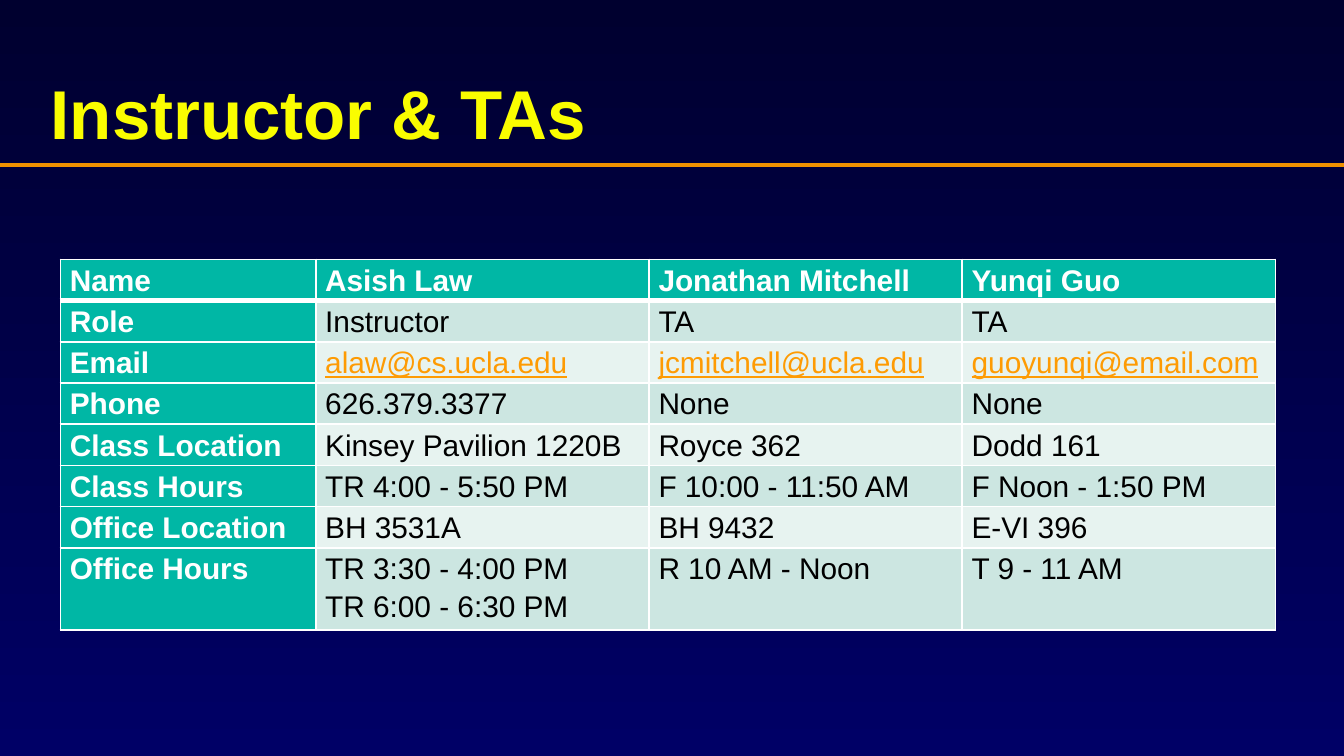
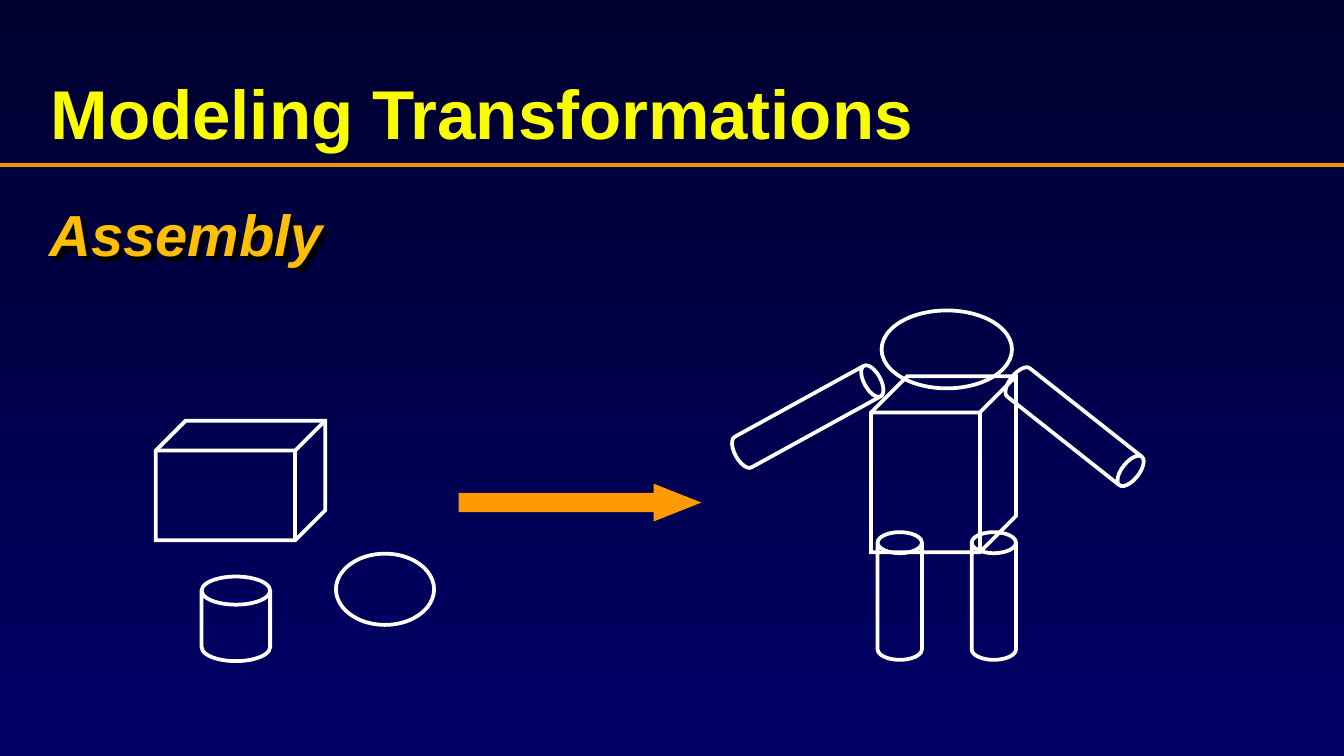
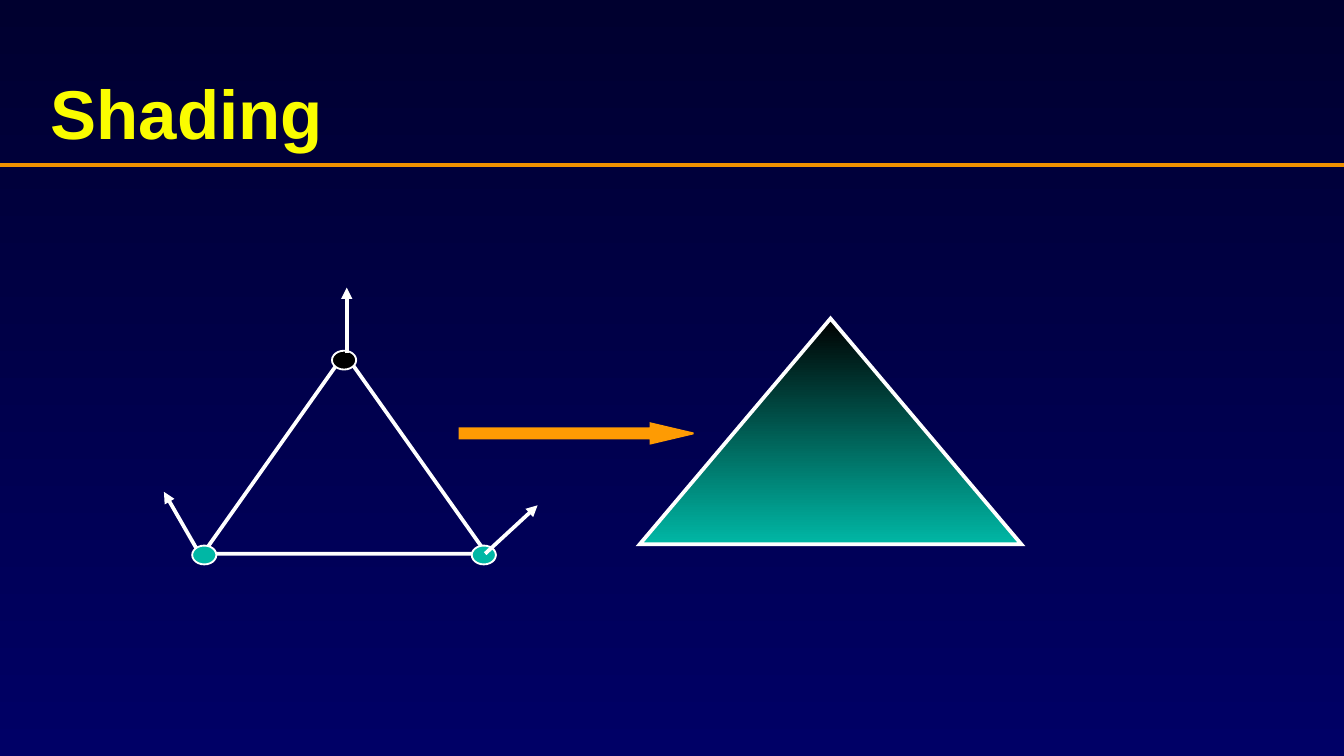
from dataclasses import dataclass
from typing import Optional

from lxml.etree import SubElement
from pptx import Presentation
from pptx.dml.color import RGBColor
from pptx.enum.shapes import MSO_CONNECTOR, MSO_SHAPE
from pptx.enum.text import MSO_ANCHOR
from pptx.oxml.ns import qn
from pptx.util import Inches, Pt


@dataclass(frozen=True)
class Theme:
    font: str = "Arial"
    sky_top: str = "00002F"
    sky_bottom: str = "000066"
    rule: str = "EF9100"
    title: str = "FAFD00"
    heading: str = "FEBF02"
    accent: str = "FE9B03"
    teal: str = "00B7A5"
    light_bands: tuple = ("CCE6E1", "E7F3F0")
    white: str = "FFFFFF"
    black: str = "000000"
    title_size: float = 37
    heading_size: float = 31
    table_size: float = 16
    thin: float = 1
    medium: float = 2
    thick: float = 3


THEME = Theme()


@dataclass(frozen=True)
class Figure:
    kind: MSO_SHAPE
    left: float
    top: float
    width: float
    height: float
    adjustments: tuple = ()
    rotation: float = 0
    fill: Optional[str] = None
    gradient: Optional[tuple] = None
    line: str = THEME.white
    line_width: float = THEME.medium


@dataclass(frozen=True)
class Segment:
    start: tuple
    end: tuple
    color: str = THEME.white
    arrow: bool = True


def can(left, top, width, height, rim=0.474, rotation=0) -> Figure:
    return Figure(MSO_SHAPE.CAN, left, top, width, height, (rim,), rotation)


def cube(left, top, width, height) -> Figure:
    return Figure(MSO_SHAPE.CUBE, left, top, width, height, (0.25,))


def ellipse(left, top, width, height) -> Figure:
    return Figure(MSO_SHAPE.OVAL, left, top, width, height)


def vertex(left, top, fill) -> Figure:
    return Figure(MSO_SHAPE.OVAL, left, top, 0.18, 0.14, fill=fill, line_width=THEME.thin)


def block_arrow(top, width, height, head) -> Figure:
    return Figure(MSO_SHAPE.RIGHT_ARROW, 3.42, top, width, height, (0.5, head),
                  fill=THEME.accent, line=THEME.accent, line_width=THEME.thin)


ASSEMBLY = (
    cube(1.16, 3.13, 1.26, 0.89),
    can(1.5, 4.29, 0.51, 0.63, rim=0.411),
    can(7.23, 3.96, 0.33, 0.95),
    can(6.53, 3.96, 0.33, 0.95),
    can(5.88, 2.49, 0.26, 1.22, rotation=61.2),
    cube(6.48, 2.8, 1.08, 1.31),
    can(7.86, 2.58, 0.27, 1.19, rotation=128.3),
    ellipse(6.56, 2.31, 0.97, 0.58),
    ellipse(2.5, 4.12, 0.73, 0.53),
    block_arrow(3.61, 1.78, 0.26, 1.266),
)

SHADING = (
    Figure(MSO_SHAPE.ISOSCELES_TRIANGLE, 1.51, 2.63, 2.11, 1.49),
    vertex(3.51, 4.06, THEME.teal),
    vertex(2.47, 2.61, THEME.black),
    Segment((2.58, 2.63), (2.58, 2.14)),
    Segment((3.61, 4.12), (4, 3.76)),
    Segment((1.49, 4.13), (1.22, 3.66)),
    Figure(MSO_SHAPE.ISOSCELES_TRIANGLE, 4.76, 2.37, 2.84, 1.68,
           gradient=(THEME.black, THEME.teal)),
    vertex(1.43, 4.06, THEME.teal),
    block_arrow(3.15, 1.74, 0.15, 2.123),
)

STAFF = (
    ("Name", "Asish Law", "Jonathan Mitchell", "Yunqi Guo"),
    ("Role", "Instructor", "TA", "TA"),
    ("Email", "alaw@cs.ucla.edu", "jcmitchell@ucla.edu", "guoyunqi@email.com"),
    ("Phone", "626.379.3377", "None", "None"),
    ("Class Location", "Kinsey Pavilion 1220B", "Royce 362", "Dodd 161"),
    ("Class Hours", "TR 4:00 - 5:50 PM", "F 10:00 - 11:50 AM", "F Noon - 1:50 PM"),
    ("Office Location", "BH 3531A", "BH 9432", "E-VI 396"),
    ("Office Hours", "TR 3:30 - 4:00 PM\nTR 6:00 - 6:30 PM", "R 10 AM - Noon", "T 9 - 11 AM"),
)
STAFF_WIDTHS = (1.9, 2.48, 2.33, 2.33)
STAFF_ROW_HEIGHT = 0.24
EMAIL_ROW = 2


def write_text(frame, text: str, *, size: float, color: str, spacing: float,
               bold=False, italic=False, underline=False) -> None:
    for index, line in enumerate(text.split("\n")):
        paragraph = frame.add_paragraph() if index else frame.paragraphs[0]
        paragraph.line_spacing = spacing
        run = paragraph.add_run()
        run.text = line
        font = run.font
        font.name, font.size = THEME.font, Pt(size)
        font.bold, font.italic, font.underline = bold, italic, underline
        font.color.rgb = RGBColor.from_string(color)


def add_text(slide, text: str, left: float, top: float, width: float, height: float,
             anchor=MSO_ANCHOR.TOP, **text_format):
    box = slide.shapes.add_textbox(Inches(left), Inches(top), Inches(width), Inches(height))
    box.text_frame.word_wrap = True
    box.text_frame.vertical_anchor = anchor
    write_text(box.text_frame, text, **text_format)
    return box


def fill_downward(fill, colors: tuple) -> None:
    fill.gradient()
    fill.gradient_angle = 270
    for stop, color in zip(fill.gradient_stops, colors):
        stop.color.rgb = RGBColor.from_string(color)


def add_text_shadow(box) -> None:
    effects = SubElement(box._element.spPr, qn("a:effectLst"))
    shadow = SubElement(effects, qn("a:outerShdw"), dist=str(Inches(0.05)), dir="2700000",
                        algn="ctr", rotWithShape="0")
    SubElement(shadow, qn("a:srgbClr"), val=THEME.black)


def add_figure(slide, figure: Figure) -> None:
    shape = slide.shapes.add_shape(figure.kind, Inches(figure.left), Inches(figure.top),
                                   Inches(figure.width), Inches(figure.height))
    shape.shadow.inherit = False
    shape.rotation = figure.rotation
    for index, value in enumerate(figure.adjustments):
        shape.adjustments[index] = value
    if figure.gradient:
        fill_downward(shape.fill, figure.gradient)
    elif figure.fill:
        shape.fill.solid()
        shape.fill.fore_color.rgb = RGBColor.from_string(figure.fill)
    else:
        shape.fill.background()
    shape.line.color.rgb = RGBColor.from_string(figure.line)
    shape.line.width = Pt(figure.line_width)
    SubElement(shape.line._get_or_add_ln(), qn("a:miter"), lim="800000")


def add_segment(slide, segment: Segment) -> None:
    ends = [Inches(value) for value in segment.start + segment.end]
    connector = slide.shapes.add_connector(MSO_CONNECTOR.STRAIGHT, *ends)
    connector.line.color.rgb = RGBColor.from_string(segment.color)
    connector.line.width = Pt(THEME.medium)
    if segment.arrow:
        SubElement(connector.line._get_or_add_ln(), qn("a:tailEnd"), type="triangle")
    SubElement(connector._element.spPr, qn("a:effectLst"))


def add_drawing(slide, items: tuple) -> None:
    for item in items:
        if isinstance(item, Segment):
            add_segment(slide, item)
        else:
            add_figure(slide, item)


def add_titled_slide(presentation, title: str):
    slide = presentation.slides.add_slide(presentation.slide_layouts[6])
    fill_downward(slide.background.fill, (THEME.sky_top, THEME.sky_bottom))
    add_segment(slide, Segment((-0.01, 1.23), (10, 1.23), THEME.rule, arrow=False))
    add_text(slide, title, 0.28, 0.25, 9.38, 0.94, MSO_ANCHOR.BOTTOM,
             size=THEME.title_size, color=THEME.title, spacing=1.04, bold=True)
    return slide


def set_borders(cell, top: float, bottom: float) -> None:
    properties = cell._tc.get_or_add_tcPr()
    widths = {"a:lnL": THEME.thin, "a:lnR": THEME.thin, "a:lnT": top, "a:lnB": bottom}
    for tag, width in widths.items():
        border = SubElement(properties, qn(tag), w=str(Pt(width)))
        SubElement(SubElement(border, qn("a:solidFill")), qn("a:srgbClr"), val=THEME.white)


def format_cell(cell, text: str, row: int, column: int) -> None:
    is_heading = row == 0 or column == 0
    is_email = row == EMAIL_ROW and not is_heading
    set_borders(cell, top=THEME.thick if row == 1 else THEME.thin,
                bottom=THEME.thick if row == 0 else THEME.thin)
    cell.fill.solid()
    background = THEME.teal if is_heading else THEME.light_bands[(row - 1) % 2]
    cell.fill.fore_color.rgb = RGBColor.from_string(background)
    cell.margin_left = cell.margin_right = Inches(0.07)
    cell.margin_top = cell.margin_bottom = Inches(0)
    color = THEME.white if is_heading else THEME.accent if is_email else THEME.black
    write_text(cell.text_frame, text, size=THEME.table_size, color=color, spacing=1.15,
               bold=is_heading, underline=is_email)


def add_staff_table(slide) -> None:
    frame = slide.shapes.add_table(len(STAFF), len(STAFF_WIDTHS), Inches(0.45), Inches(1.93),
                                   Inches(sum(STAFF_WIDTHS)),
                                   Inches(STAFF_ROW_HEIGHT * len(STAFF)))
    table = frame.table
    table.first_row = table.horz_banding = False
    for column, width in zip(table.columns, STAFF_WIDTHS):
        column.width = Inches(width)
    for row_index, texts in enumerate(STAFF):
        for column_index, text in enumerate(texts):
            format_cell(table.cell(row_index, column_index), text, row_index, column_index)


def main() -> None:
    presentation = Presentation()
    presentation.slide_width = Inches(10)
    presentation.slide_height = Inches(10) * 9 // 16

    add_staff_table(add_titled_slide(presentation, "Instructor & TAs"))

    modeling = add_titled_slide(presentation, "Modeling Transformations")
    heading = add_text(modeling, "Assembly", 0.27, 1.38, 9.43, 4, size=THEME.heading_size,
                       color=THEME.heading, spacing=1.1, bold=True, italic=True)
    add_text_shadow(heading)
    add_drawing(modeling, ASSEMBLY)

    add_drawing(add_titled_slide(presentation, "Shading"), SHADING)

    presentation.save("out.pptx")


if __name__ == "__main__":
    main()
